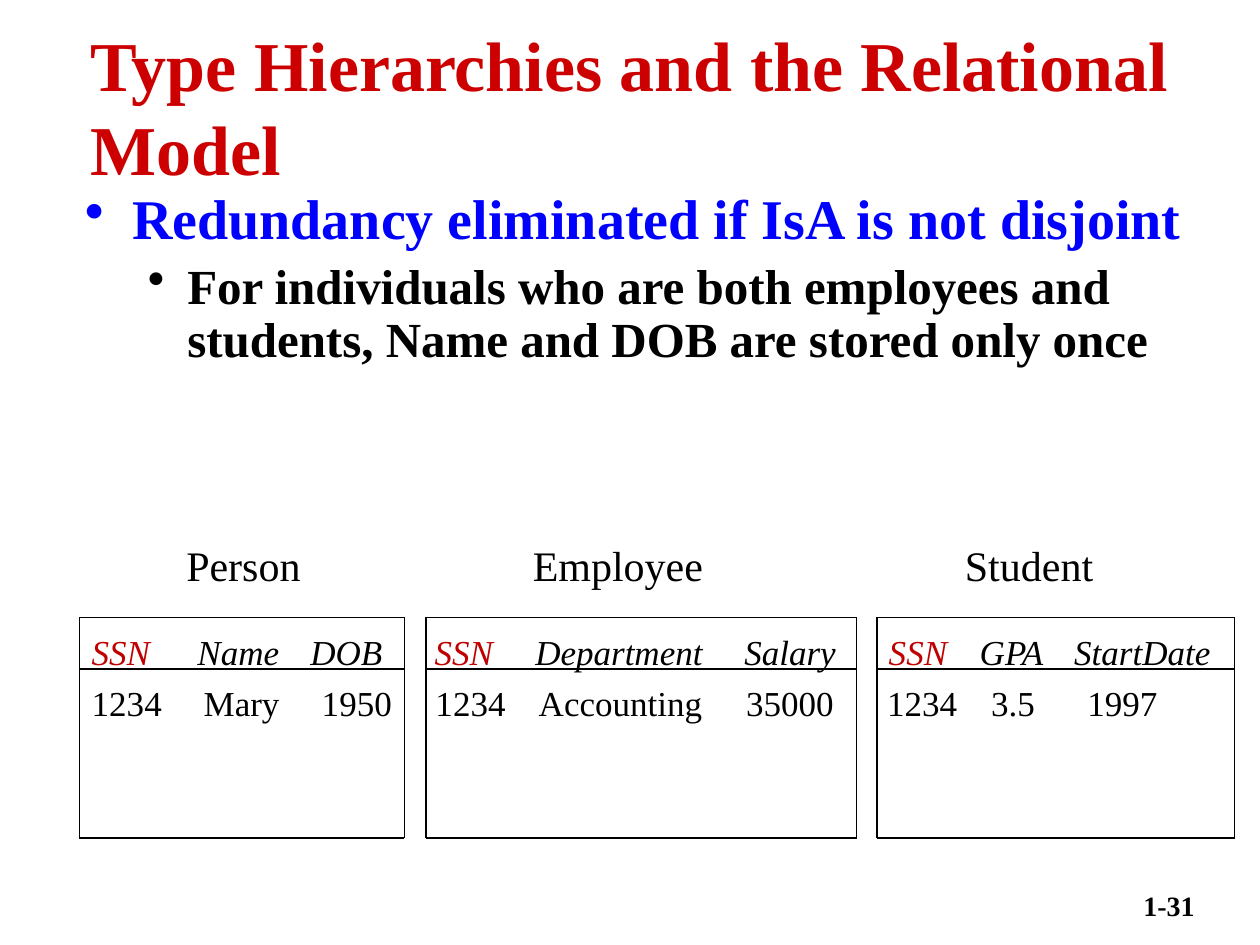
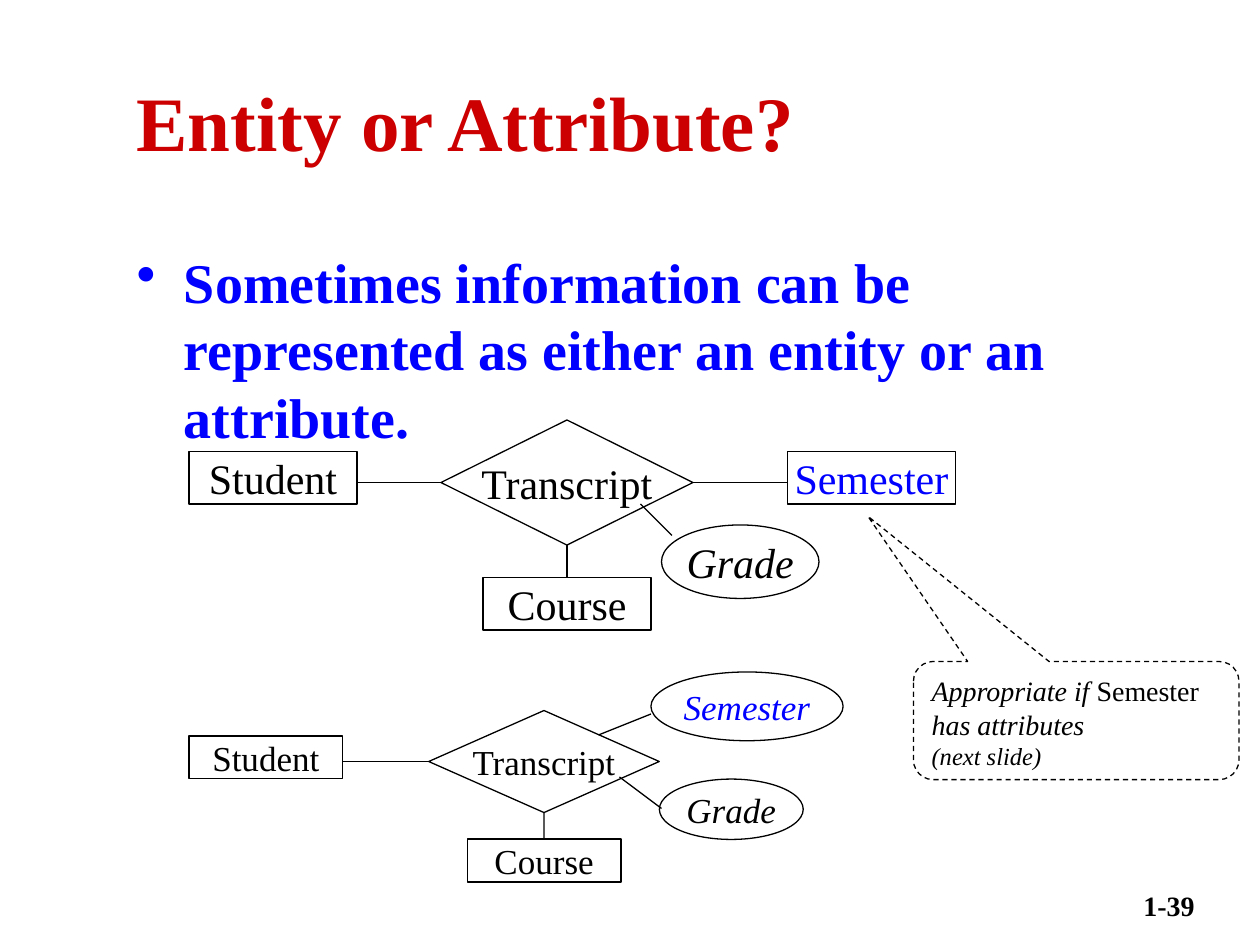
from lxml import etree
from pptx import Presentation
from pptx.dml.color import RGBColor
from pptx.enum.dml import MSO_LINE as Dash
from pptx.enum.shapes import MSO_CONNECTOR as Conn, MSO_SHAPE as Kind
from pptx.enum.text import MSO_ANCHOR as Anchor, PP_ALIGN as Align
from pptx.oxml.ns import qn
from pptx.util import Pt

FONT = "Times New Roman"
BLACK, RED, BLUE, KEY = "000000", "CC0000", "0000FF", "C00000"
TOP, LEFT, BOTTOM, RIGHT = range(4)
INSET = 7.2

# Bullet level: size, colour, left margin, hanging indent
LEVELS = [(32, BLUE, 27, 27), (28, BLACK, 58.5, 22.5)]

HIER = {
    "title": "Type Hierarchies and the Relational Model",
    "head": (44.64, 43.92, 635.76, 33.12, 40),
    "body": (41.4, 105.84, 641.52, 180),
    "space": 0.9,
    "points": [
        (0, "Redundancy eliminated if IsA is not disjoint"),
        (1, "For individuals who are both employees and "
            "students, Name and DOB are stored only once"),
    ],
    "page": "1-31",
}
ENTITY = {
    "title": "Entity or Attribute?",
    "head": (71, 23.76, 612, 90, 44),
    "body": (71, 138, 599.76, 84.24),
    "space": 1.0,
    "points": [(0, "Sometimes information can be represented as either "
                   "an entity or an attribute.")],
    "page": "1-39",
}

# Labels: box left, width, then each name with its text left
LABELS = [
    (99.36, 79.92, [("Person", 106.56)]),
    (297.36, 334.8, [("Employee", 304.56), ("Student", 551.5)]),
]
# Relation: box left, box right, then per column:
# field, value, field left, value left
RELATIONS = [
    (45.36, 231.12,
     [("SSN", "1234", 52.5, 52.5), ("Name", "Mary", 113, 116.5),
      ("DOB", "1950", 177.5, 184)]),
    (243.36, 489.6,
     [("SSN", "1234", 248.5, 249), ("Department", "Accounting", 306, 308),
      ("Salary", "35000", 425.5, 426.5)]),
    (501.12, 705.6,
     [("SSN", "1234", 508, 507), ("GPA", "3.5", 560, 566.5),
      ("StartDate", "1997", 614, 621.5)]),
]
RULES = (352.8, 382.32, 478.8)
GRID = (45.36, 352.8, 659.52, 65.52)

# Each diagram: text size, parts, names beside the diamond,
# and loose lines from the diamond to its attributes
DIAGRAMS = [
    (24,
     {"Student": (Kind.RECTANGLE, 108, 258, 96, 30, BLACK),
      "Semester": (Kind.RECTANGLE, 450, 258, 96, 30, BLUE),
      "Course": (Kind.RECTANGLE, 276, 330, 96, 30, BLACK),
      "Transcript": (Kind.DIAMOND, 252, 240, 144, 71.5, BLACK),
      "Grade": (Kind.OVAL, 378, 300, 90, 42, BLACK)},
     ["Student", "Semester"],
     [(384, 306, 366, 288)]),
    (20,
     {"Student": (Kind.RECTANGLE, 108, 420.6, 87.84, 24.48, BLACK),
      "Course": (Kind.RECTANGLE, 267, 479.5, 87.84, 24.48, BLACK),
      "Transcript": (Kind.DIAMOND, 245, 406, 131.76, 58.32, BLACK),
      "Grade": (Kind.OVAL, 376.8, 445.2, 82.2, 34.5, BLACK),
      "Semester": (Kind.OVAL, 372, 384, 109.8, 39.3, BLUE)},
     ["Student"],
     [(372, 408, 342, 420), (378, 462, 354, 444)]),
]
CALLOUT = (522, 378, 186, 67.5)
TAIL = (-0.64, -1.73, 0.167)
NOTE = [
    [("Appropriate if ", 16, True), ("Semester ", 16, False),
     ("has attributes", 16, True)],
    [("(next slide)", 14, True)],
]


def pts(*nums):
    return [Pt(n) for n in nums]


def rgb(hexa):
    return RGBColor.from_string(hexa)


def write(para, text, size, color=BLACK, bold=False, ital=False):
    run = para.add_run()
    run.text = text
    font = run.font
    font.name, font.size, font.bold, font.italic = FONT, Pt(size), bold, ital
    font.color.rgb = rgb(color)


def box(slide, *area):
    frame = slide.shapes.add_textbox(*pts(*area)).text_frame
    frame.word_wrap = True
    return frame


def lines(frame, items):
    """Yield a paragraph of the frame with each item."""
    for i, item in enumerate(items):
        yield frame.add_paragraph() if i else frame.paragraphs[0], item


def bullet(para, left, hang):
    props = para._p.get_or_add_pPr()
    props.set("marL", str(Pt(left)))
    props.set("indent", str(-Pt(hang)))
    etree.SubElement(props, qn("a:buFontTx"))
    etree.SubElement(props, qn("a:buChar"), char="•")


def tabs(para, stops):
    props = para._p.get_or_add_pPr()
    group = etree.SubElement(props, qn("a:tabLst"))
    for stop in stops:
        etree.SubElement(group, qn("a:tab"), pos=str(Pt(stop)), algn="l")


def start(deck, info):
    """Add a slide with its title, bullets and page number."""
    slide = deck.slides.add_slide(deck.slide_layouts[6])
    *area, size = info["head"]
    frame = box(slide, *area)
    frame.vertical_anchor = Anchor.MIDDLE
    write(frame.paragraphs[0], info["title"], size, RED, bold=True)

    frame = box(slide, *info["body"])
    for para, (level, text) in lines(frame, info["points"]):
        size, color, left, hang = LEVELS[level]
        para.level = level
        para.line_spacing = info["space"]
        para.space_before = Pt(size * 0.2)
        bullet(para, left, hang)
        write(para, text, size, color, bold=True)

    para = box(slide, 620.64, 504, 69.12, 36).paragraphs[0]
    para.alignment = Align.RIGHT
    write(para, info["page"], 16, bold=True)
    return slide


def spread(para, left, items, size, ital=False):
    """Write each text at its own place across the line."""
    tabs(para, [spot - left - INSET for _, spot in items[1:]])
    for i, (text, _) in enumerate(items):
        if i:
            write(para, "\t", 24)
        write(para, text, size, KEY if text == "SSN" else BLACK, ital=ital)


def link(slide, *ends):
    line = slide.shapes.add_connector(Conn.STRAIGHT, *ends)
    line.line.color.rgb = rgb(BLACK)
    line.line.width = Pt(0.75)
    etree.SubElement(line._element.spPr, qn("a:effectLst"))
    return line


def relations(slide):
    for left, width, names in LABELS:
        para = box(slide, left, 304.56, width, 36).paragraphs[0]
        spread(para, left, names, 24)

    cols = [col for *_, part in RELATIONS for col in part]
    rows = [[(col[r], col[r + 2]) for col in cols] for r in range(2)]
    frame = box(slide, *GRID)
    for para, row in lines(frame, rows):
        spread(para, GRID[0], row, 20, ital=row is rows[0])

    for left, right, _ in RELATIONS:
        for y in RULES:
            link(slide, *pts(left, y, right, y))
        for x in (left, right):
            link(slide, *pts(x, RULES[0], x, RULES[-1]))


def outline(slide, kind, *area):
    shape = slide.shapes.add_shape(kind, *pts(*area))
    shape.shadow.inherit = False
    shape.fill.background()
    shape.line.color.rgb = rgb(BLACK)
    shape.line.width = Pt(0.75)
    return shape


def node(slide, name, size, kind, *area, color):
    shape = outline(slide, kind, *area)
    frame = shape.text_frame
    frame.word_wrap = False
    frame.vertical_anchor = Anchor.MIDDLE
    para = frame.paragraphs[0]
    para.alignment = Align.CENTER
    write(para, name, size, color, ital=kind == Kind.OVAL)
    return shape


def diagram(slide, size, parts, sides, loose):
    nodes = {name: node(slide, name, size, *spot, color=color)
             for name, (*spot, color) in parts.items()}
    hub, course = nodes["Transcript"], nodes["Course"]
    mid = hub.top + hub.height // 2
    for name in sides:
        part = nodes[name]
        west = part.left < hub.left
        near = part.left + part.width if west else part.left
        line = link(slide, hub.left, mid, near, mid)
        line.begin_connect(hub, LEFT if west else RIGHT)
    line = link(slide, 0, 0, 0, 0)
    line.begin_connect(hub, BOTTOM)
    line.end_connect(course, TOP)
    for ends in loose:
        link(slide, *pts(*ends))


def callout(slide):
    shape = outline(slide, Kind.ROUNDED_RECTANGULAR_CALLOUT, *CALLOUT)
    shape.line.dash_style = Dash.DASH
    for i, value in enumerate(TAIL):
        shape.adjustments[i] = value
    frame = shape.text_frame
    frame.word_wrap = True
    frame.vertical_anchor = Anchor.TOP
    for para, runs in lines(frame, NOTE):
        para.alignment = Align.LEFT
        for text, size, ital in runs:
            write(para, text, size, ital=ital)


def main():
    deck = Presentation()
    deck.slide_width, deck.slide_height = pts(720, 540)
    relations(start(deck, HIER))
    slide = start(deck, ENTITY)
    for item in DIAGRAMS:
        diagram(slide, *item)
    callout(slide)
    deck.save("out.pptx")


if __name__ == "__main__":
    main()
